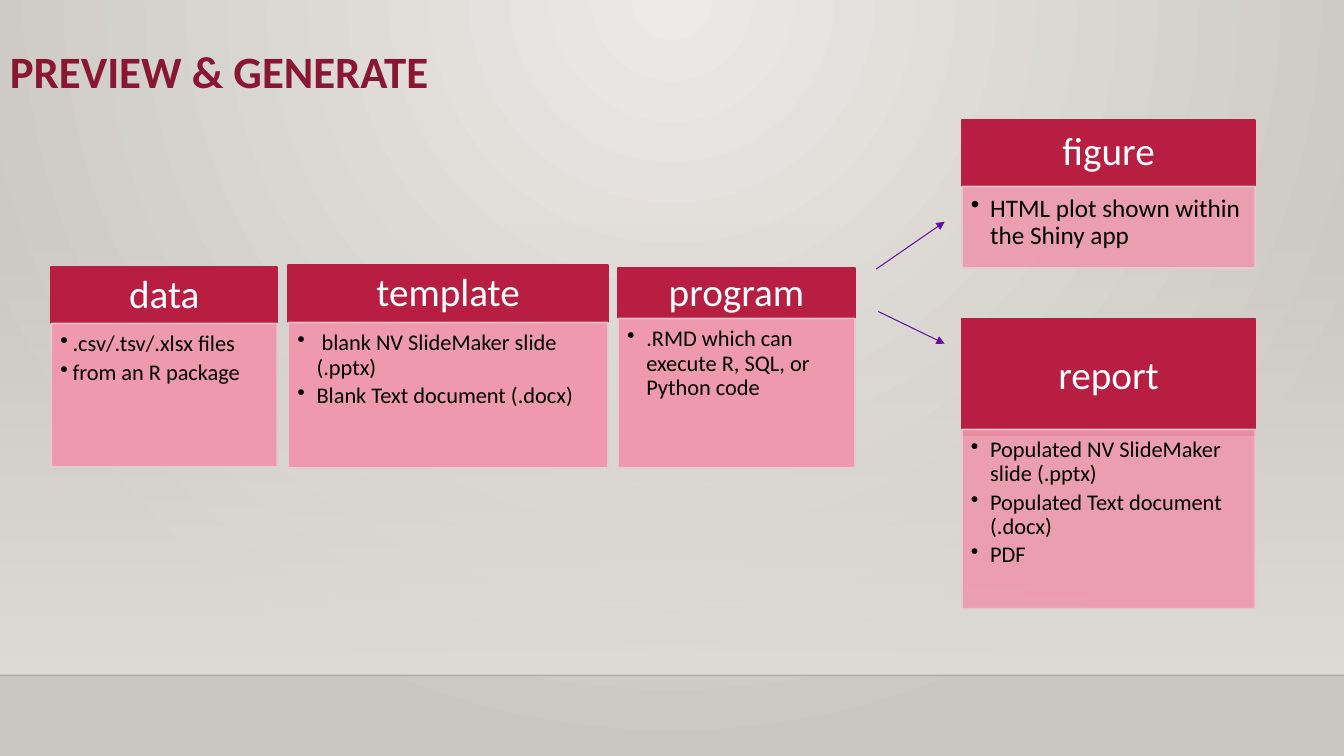
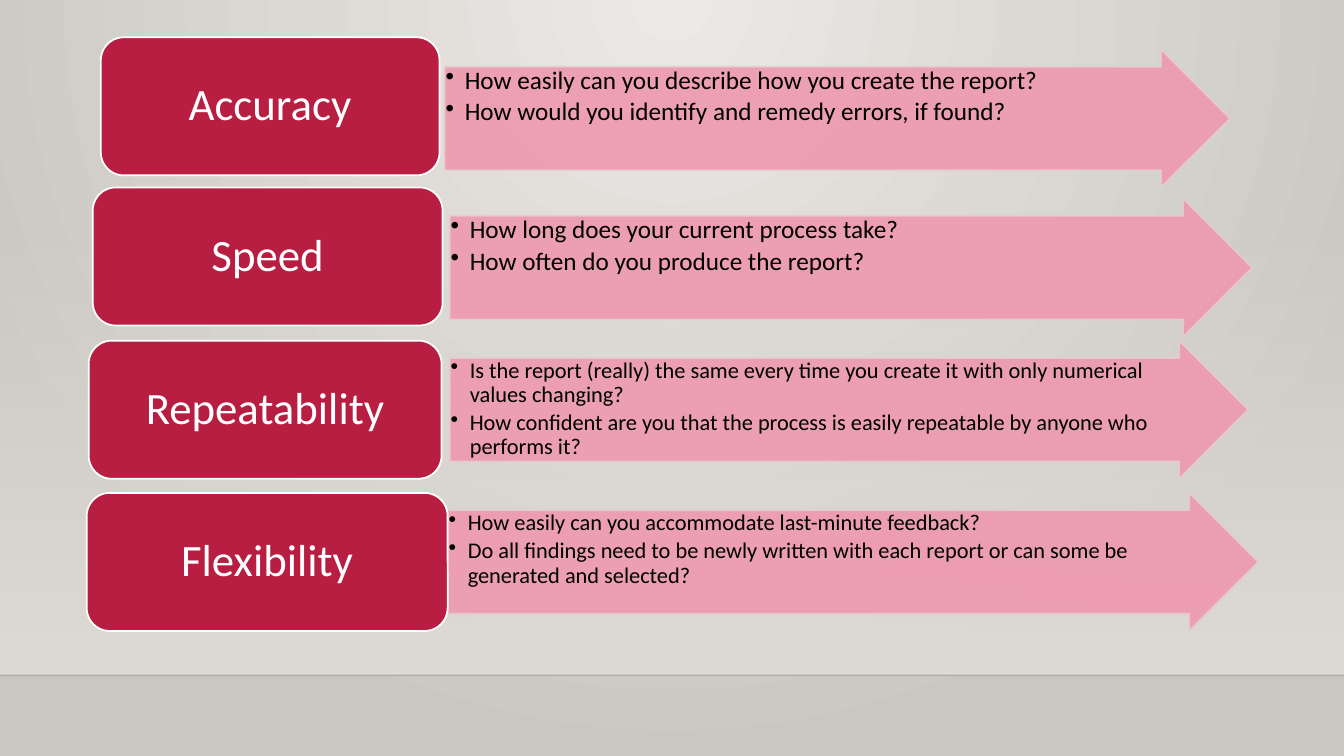
from lxml import etree
from pptx import Presentation
from pptx.dml import color
from pptx.enum import shapes, text
from pptx.oxml import ns
from pptx.util import Inches, Pt

FONT = "Calibri"
RED, PINK, EDGE = "B71E42", "EE99AD", "E6CDCF"
WHITE, BLACK, TITLE, ARROW = "FFFFFF", "000000", "891731", "6511A0"
SHAPE = shapes.MSO_SHAPE
WIDE, HIGH, FLOOR = 13.33, 7.5, 6.7


# Colour and XML helpers
def rgb(code):
    return color.RGBColor.from_string(code)


def add(parent, tag, **attrs):
    node = etree.SubElement(parent, ns.qn(tag))
    for name, value in attrs.items():
        node.set(name, str(value))
    return node


def paint(fill, code, alpha=100):
    fill.solid()
    fill.fore_color.rgb = rgb(code)
    if alpha < 100:
        hue = fill.fore_color._xFill.find(ns.qn("a:srgbClr"))
        add(hue, "a:alpha", val=alpha * 1000)


def blend(fill, stops):
    """Set a gradient from (colour, opacity) pairs and return its XML."""
    fill.gradient()
    grad = fill._fill._gradFill
    for child in list(grad):
        grad.remove(child)
    items = add(grad, "a:gsLst")
    for i, (code, alpha) in enumerate(stops):
        stop = add(items, "a:gs", pos=i * 100000 // (len(stops) - 1))
        hue = add(stop, "a:srgbClr", val=code)
        if alpha < 100:
            add(hue, "a:alpha", val=alpha * 1000)
    return grad


# Basic parts
def block(slide, kind, box, code, edge, alpha=100, edge_alpha=100):
    shape = slide.shapes.add_shape(kind, *map(Inches, box))
    shape.shadow.inherit = False
    paint(shape.fill, code, alpha)
    paint(shape.line.fill, edge, edge_alpha)
    shape.line.width = Pt(1.25)
    return shape


def line(slide, start, end, code, width, alpha=100, head=False):
    link = slide.shapes.add_connector(
        shapes.MSO_CONNECTOR.STRAIGHT, *map(Inches, start + end))
    paint(link.line.fill, code, alpha)
    link.line.width = Pt(width)
    if head:
        add(link.line._get_or_add_ln(), "a:tailEnd", type="triangle")
    add(link._element.spPr, "a:effectLst")


def write(shape, lines, size, code, pad, anchor="TOP", align="LEFT",
          bold=False, indent=0):
    frame = shape.text_frame
    frame.word_wrap = True
    frame.vertical_anchor = text.MSO_ANCHOR[anchor]
    frame.margin_left = frame.margin_right = Inches(pad)
    frame.margin_top = frame.margin_bottom = Inches(min(pad, 0.09))
    frame.text = "\n".join(lines)
    for par in frame.paragraphs:
        par.alignment = text.PP_ALIGN[align]
        par.line_spacing = 0.9
        par.font.name, par.font.size = FONT, Pt(size)
        par.font.bold = bold
        par.font.color.rgb = rgb(code)
        if indent:
            par.space_after = Pt(3)
            props = par._p.get_or_add_pPr()
            props.set("marL", str(Inches(indent)))
            props.set("indent", str(-Inches(indent)))
            mark = etree.Element(ns.qn("a:buChar"), char="•")
            props.find(ns.qn("a:spcAft")).addnext(mark)


# Shared backdrop
def backdrop(master):
    grad = blend(master.background.fill, [("ECEAE7", 100), ("CAC7C1", 100)])
    glow = add(grad, "a:path", path="circle")
    add(glow, "a:fillToRect", l=43000, t=0, r=43000, b=100000)


def stage(deck):
    slide = deck.slides.add_slide(deck.slide_layouts[6])
    box = (0, 2.21, WIDE, FLOOR - 2.21)
    wall = block(slide, SHAPE.RECTANGLE, box, WHITE, WHITE)
    wall.line.fill.background()
    grad = blend(wall.fill, [("DFDBD5", 0), ("DFDBD5", 100)])
    add(grad, "a:lin", ang=5400000, scaled=0)
    line(slide, (0, FLOOR), (WIDE, FLOOR), "000001", 1, alpha=20)
    return slide


def title(slide, words):
    box = slide.shapes.add_textbox(*map(Inches, (0, 0.4, 11, 1.5)))
    write(box, [words], 32, TITLE, 0.1, bold=True)


# Card: a red heading over a pink list
def card(slide, box, head, name, lines, size=16, alpha=100, indent=0.19,
         lap=0):
    left, top, width, height = box
    cap = block(slide, SHAPE.RECTANGLE, (left, top, width, head), RED, RED)
    write(cap, [name], 28, WHITE, 0.12, "MIDDLE", "CENTER")
    body = block(slide, SHAPE.RECTANGLE,
                 (left, top + head - lap, width, height - head + lap),
                 PINK, EDGE, alpha, 90)
    write(body, lines, size, BLACK, 0.09, indent=indent)


# Row: a red label beside a pink arrow
def row(slide, label, arrow, name, lines, size):
    tall = 1.37
    (left, top, width), (start, rise, span) = label, arrow
    flow = block(slide, SHAPE.RIGHT_ARROW, (start, rise, span, tall),
                 PINK, EDGE, 90, 90)
    flow.adjustments[0], flow.adjustments[1] = 0.75, 0.5
    write(flow, lines, size, BLACK, 0.01, indent=0.19)
    tag = block(slide, SHAPE.ROUNDED_RECTANGLE, (left, top, width, tall),
                RED, WHITE)
    write(tag, [name], 32, WHITE, 0.07, "MIDDLE", "CENTER")


def preview(deck):
    slide = stage(deck)
    title(slide, "PREVIEW & GENERATE")
    # Inputs
    card(slide, (0.51, 2.65, 2.24, 1.98), 0.56, "data",
         [".csv/.tsv/.xlsx files", "from an R package"], indent=0.12)
    card(slide, (2.86, 2.63, 3.17, 2.01), 0.57, "template",
         [" blank NV SlideMaker slide (.pptx)",
          "Blank Text document (.docx)"])
    card(slide, (6.13, 2.66, 2.35, 1.98), 0.5, "program",
         [".RMD which can execute R, SQL, or Python code"])
    # Outputs
    card(slide, (9.54, 1.19, 2.91, 1.47), 0.66, "figure",
         ["HTML plot shown within the Shiny app"], size=18, alpha=90)
    card(slide, (9.54, 3.16, 2.91, 2.88), 1.16, "report",
         ["Populated NV SlideMaker slide (.pptx)",
          "Populated Text document (.docx)", "PDF"], alpha=90, lap=0.06)
    for start, end in (((8.69, 2.67), (9.37, 2.2)),
                       ((8.71, 3.09), (9.37, 3.41))):
        line(slide, start, end, ARROW, 0.75, head=True)


def goals(deck):
    slide = stage(deck)
    rows = [
        ((1, 0.37, 3.36), (4.41, 0.49, 7.79), "Accuracy",
         ["How easily can you describe how you create the report?",
          "How would you identify and remedy errors, if found?"], 18),
        ((0.92, 1.86, 3.47), (4.46, 1.97, 7.96), "Speed",
         ["How long does your current process take?",
          "How often do you produce the report?"], 18),
        ((0.88, 3.38, 3.5), (4.46, 3.38, 7.92), "Repeatability",
         ["Is the report (really) the same every time you create it with "
          "only numerical values changing?",
          "How confident are you that the process is easily repeatable by "
          "anyone who performs it?"], 16),
        ((0.86, 4.89, 3.58), (4.44, 4.89, 8.04), "Flexibility",
         ["How easily can you accommodate last-minute feedback?",
          "Do all findings need to be newly written with each report or "
          "can some be generated and selected?"], 16),
    ]
    for item in rows:
        row(slide, *item)


def main():
    deck = Presentation()
    deck.slide_width, deck.slide_height = Inches(WIDE), Inches(HIGH)
    backdrop(deck.slide_master)
    preview(deck)
    goals(deck)
    deck.save("out.pptx")


if __name__ == "__main__":
    main()
